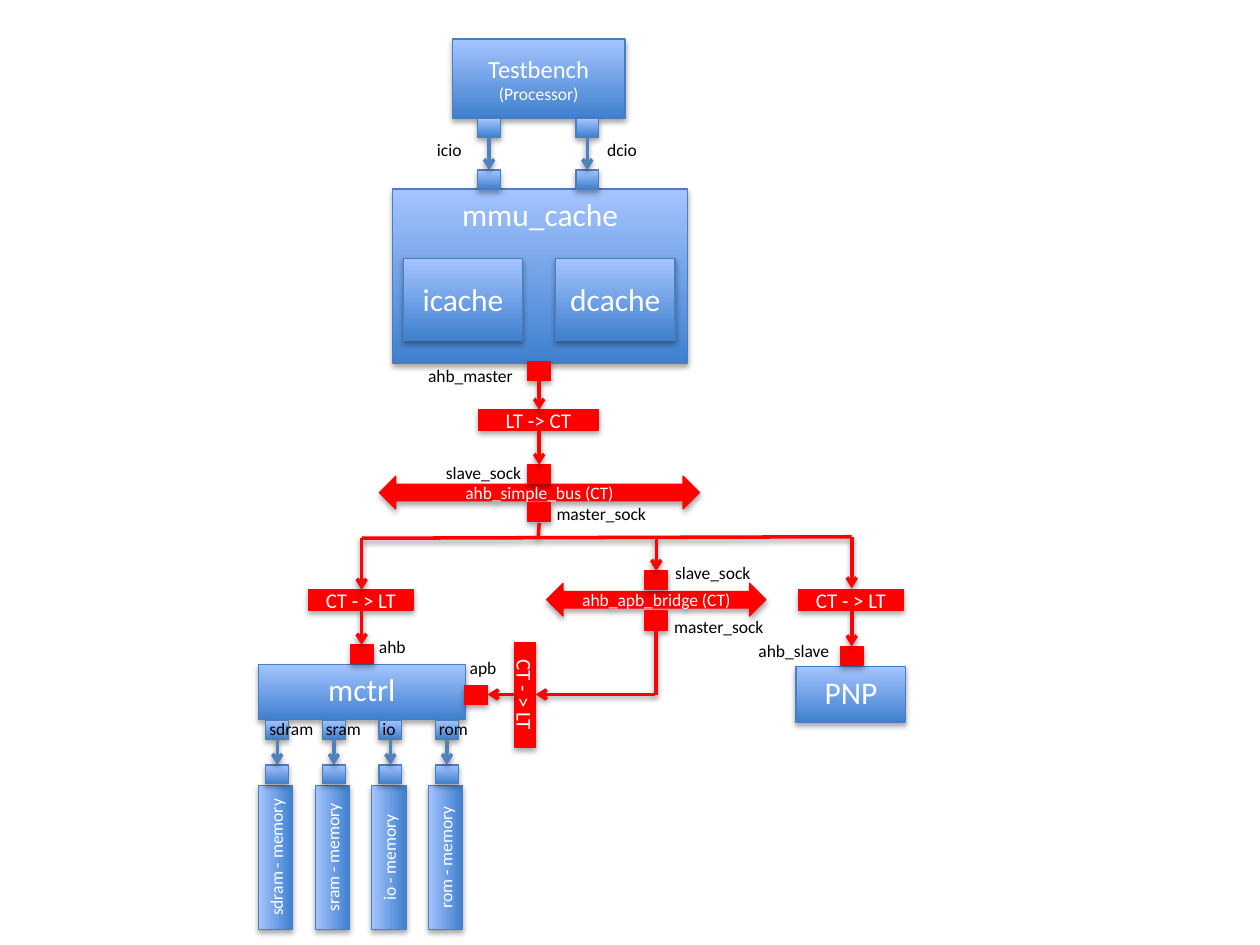
import pptx
import pptx.util
import pptx.dml.color
import pptx.enum.shapes
import pptx.enum.text
import pptx.oxml.ns
from lxml import etree

Cm, Pt = pptx.util.Cm, pptx.util.Pt
RGBColor = pptx.dml.color.RGBColor
SHAPE = pptx.enum.shapes.MSO_SHAPE
ANCHOR = pptx.enum.text.MSO_ANCHOR
ALIGN = pptx.enum.text.PP_ALIGN

FONT = "Calibri"
RED = RGBColor(0xFF, 0x00, 0x00)
WHITE = RGBColor(0xFF, 0xFF, 0xFF)
BLACK = RGBColor(0x00, 0x00, 0x00)
BLUE_DARK = RGBColor(0x3F, 0x80, 0xCE)
BLUE_LIGHT = RGBColor(0xA4, 0xC4, 0xFF)
BLUE_EDGE = RGBColor(0x4B, 0x7E, 0xBC)
BLUE_LINK = RGBColor(0x4F, 0x81, 0xBD)

# All places are in centimetres.
SOCKET_WIDTH, SOCKET_HEIGHT = 0.46, 0.38
LABEL_HEIGHT = 0.69

# (text, size) lines, left, top, width, height
BLUE_BLOCKS = [
    ([("Testbench", 14), ("(Processor)", 10)], 9.12, 0.79, 3.48, 1.6),
    ([("mmu_cache", 18)], 7.92, 3.81, 5.94, 3.51),
    ([("icache", 18)], 8.13, 5.21, 2.41, 1.65),
    ([("dcache", 18)], 11.2, 5.21, 2.41, 1.65),
    ([("mctrl", 18)], 5.21, 13.39, 4.17, 1.12),
    ([("PNP", 18)], 16.05, 13.44, 2.21, 1.12),
]
TOP_ANCHORED = ("mmu_cache", "mctrl", "PNP")
BUSES = [
    ("ahb_simple_bus (CT)", 7.65, 9.6, 6.45, 0.66),
    ("ahb_apb_bridge (CT)", 11.02, 11.76, 4.42, 0.66),
]
# text, left, top, width, height, rotation
ADAPTERS = [
    ("LT -> CT", 9.65, 8.26, 2.41, 0.41, 0),
    ("CT - > LT", 6.22, 11.89, 2.11, 0.41, 0),
    ("CT - > LT", 16.1, 11.89, 2.11, 0.41, 0),
    ("CT - > LT", 9.53, 13.79, 2.11, 0.43, 90),
]
# centre, top
RED_SOCKETS = [
    (10.87, 7.29), (10.87, 9.37), (10.87, 10.13), (7.29, 13.0),
    (9.6, 13.82), (13.23, 11.51), (13.23, 12.32), (17.17, 13.03),
]
CACHE_PORTS = [9.86, 11.84]
# from x, from y, to x, to y, arrowhead
RED_LINKS = [
    (10.87, 7.67, 10.87, 8.26, True),
    (10.87, 8.66, 10.87, 9.37, True),
    (10.85, 10.85, 10.87, 10.54, False),
    (7.29, 10.85, 17.17, 10.82, False),
    (7.29, 10.85, 7.29, 11.89, True),
    (7.29, 12.29, 7.29, 13.0, True),
    (13.23, 10.85, 13.23, 11.51, True),
    (13.22, 12.7, 13.22, 14.02, False),
    (13.21, 14.0, 10.8, 14.0, True),
    (10.39, 14.0, 9.83, 14.0, True),
    (17.17, 10.82, 17.17, 11.86, True),
    (17.17, 12.32, 17.17, 13.03, True),
]
# text, left, top, width
LABELS = [
    ("icio", 8.56, 2.67, 1.02), ("dcio", 11.99, 2.67, 1.12),
    ("ahb_master", 8.38, 7.24, 2.26), ("slave_sock", 8.74, 9.19, 2.08),
    ("master_sock", 10.97, 10.01, 2.36), ("slave_sock", 13.36, 11.2, 2.08),
    ("master_sock", 13.34, 12.29, 2.36), ("ahb", 7.39, 12.7, 1.07),
    ("apb", 9.22, 13.13, 1.07), ("ahb_slave", 15.04, 12.78, 1.96),
]
# name, label width
MEMORIES = [("sdram", 1.42), ("sram", 1.22), ("io", 0.79), ("rom", 1.12)]
MEMORY_FIRST, MEMORY_PITCH = 5.59, 1.14
MEMORY_LENGTH, MEMORY_THICKNESS = 2.9, 0.69

presentation = pptx.Presentation()
presentation.slide_width, presentation.slide_height = Cm(25.4), Cm(19.05)
slide = presentation.slides.add_slide(presentation.slide_layouts[6])
diagram = slide.shapes.add_group_shape().shapes


def add_child(parent, tag, **attributes):
    """Append a drawing element with the given attributes."""
    return etree.SubElement(parent, pptx.oxml.ns.qn(tag), attributes)


def add_shadow(effects, distance, opacity):
    """Put a soft shadow straight below into an effect list."""
    shadow = add_child(effects, "a:outerShdw", blurRad="40000", dist=str(distance),
                       dir="5400000", rotWithShape="0")
    color = add_child(shadow, "a:srgbClr", val="000000")
    add_child(color, "a:alpha", val=str(opacity * 1000))


def write(paragraph, text, size, color):
    """Add one formatted run to a paragraph."""
    run = paragraph.add_run()
    run.text = text
    run.font.name, run.font.size = FONT, Pt(size)
    run.font.color.rgb = color


def add_block(left, top, width, height, lines=(), red=False, kind=SHAPE.RECTANGLE, rotation=0):
    """Add a red or blue shaded shape with centred white lines."""
    shape = diagram.add_shape(kind, Cm(left), Cm(top), Cm(width), Cm(height))
    shape.rotation = rotation
    if red:
        shape.fill.solid()
        shape.fill.fore_color.rgb = RED
    else:
        shape.fill.gradient()
        shape.fill.gradient_angle = 90
        for stop, color in zip(shape.fill.gradient_stops, (BLUE_DARK, BLUE_LIGHT)):
            stop.color.rgb = color
    shape.line.color.rgb = RED if red else BLUE_EDGE
    shape.line.width = Pt(0.75)
    shape.shadow.inherit = False
    add_shadow(shape._element.spPr.find(pptx.oxml.ns.qn("a:effectLst")), 23000, 35)
    frame = shape.text_frame
    at_top = bool(lines) and lines[0][0] in TOP_ANCHORED
    frame.vertical_anchor = ANCHOR.TOP if at_top else ANCHOR.MIDDLE
    for index, (text, size) in enumerate(lines):
        paragraph = frame.add_paragraph() if index else frame.paragraphs[0]
        paragraph.alignment = ALIGN.CENTER
        write(paragraph, text, size, WHITE)


def add_socket(center, top, red=False):
    """Add a small port square centred on a vertical line."""
    add_block(center - SOCKET_WIDTH / 2, top, SOCKET_WIDTH, SOCKET_HEIGHT, red=red)


def add_link(start_x, start_y, end_x, end_y, color, arrow=True):
    """Add a straight line, with an open arrowhead if wanted."""
    link = diagram.add_connector(pptx.enum.shapes.MSO_CONNECTOR.STRAIGHT,
                                 Cm(start_x), Cm(start_y), Cm(end_x), Cm(end_y))
    link.line.color.rgb = color
    link.line.width = Pt(2)
    if arrow:
        add_child(link.line._get_or_add_ln(), "a:tailEnd", type="arrow")
    add_shadow(add_child(link._element.spPr, "a:effectLst"), 20000, 38)


def add_label(text, left, top, width):
    """Add a small black port name."""
    label = diagram.add_textbox(Cm(left), Cm(top), Cm(width), Cm(LABEL_HEIGHT))
    label.text_frame.word_wrap = False
    label.text_frame.auto_size = pptx.enum.text.MSO_AUTO_SIZE.SHAPE_TO_FIT_TEXT
    write(label.text_frame.paragraphs[0], text, 10, BLACK)


def add_port_pair(center, upper, lower):
    """Add two blue sockets joined by an arrow."""
    add_socket(center, upper)
    add_socket(center, lower)
    add_link(center, upper + SOCKET_HEIGHT, center, lower, BLUE_LINK)


for lines, *place in BLUE_BLOCKS:
    add_block(*place, lines=lines)
for text, *place in BUSES:
    add_block(*place, lines=[(text, 10)], red=True, kind=SHAPE.LEFT_RIGHT_ARROW)
for text, *place, rotation in ADAPTERS:
    add_block(*place, lines=[(text, 12)], red=True, rotation=rotation)
for center, top in RED_SOCKETS:
    add_socket(center, top, red=True)
for center in CACHE_PORTS:
    add_port_pair(center, 2.39, 3.43)
for *ends, arrow in RED_LINKS:
    add_link(*ends, RED, arrow)
for index, (name, label_width) in enumerate(MEMORIES):
    center = MEMORY_FIRST + index * MEMORY_PITCH
    add_block(center - 0.03 - MEMORY_LENGTH / 2, 16.94, MEMORY_LENGTH, MEMORY_THICKNESS,
              lines=[(f"{name} - memory", 10)], rotation=270)
    add_port_pair(center, 14.52, 15.42)
for index, (name, label_width) in enumerate(MEMORIES):
    add_label(name, MEMORY_FIRST + index * MEMORY_PITCH - 0.41, 14.35, label_width)
for label in LABELS:
    add_label(*label)

presentation.save("out.pptx")
